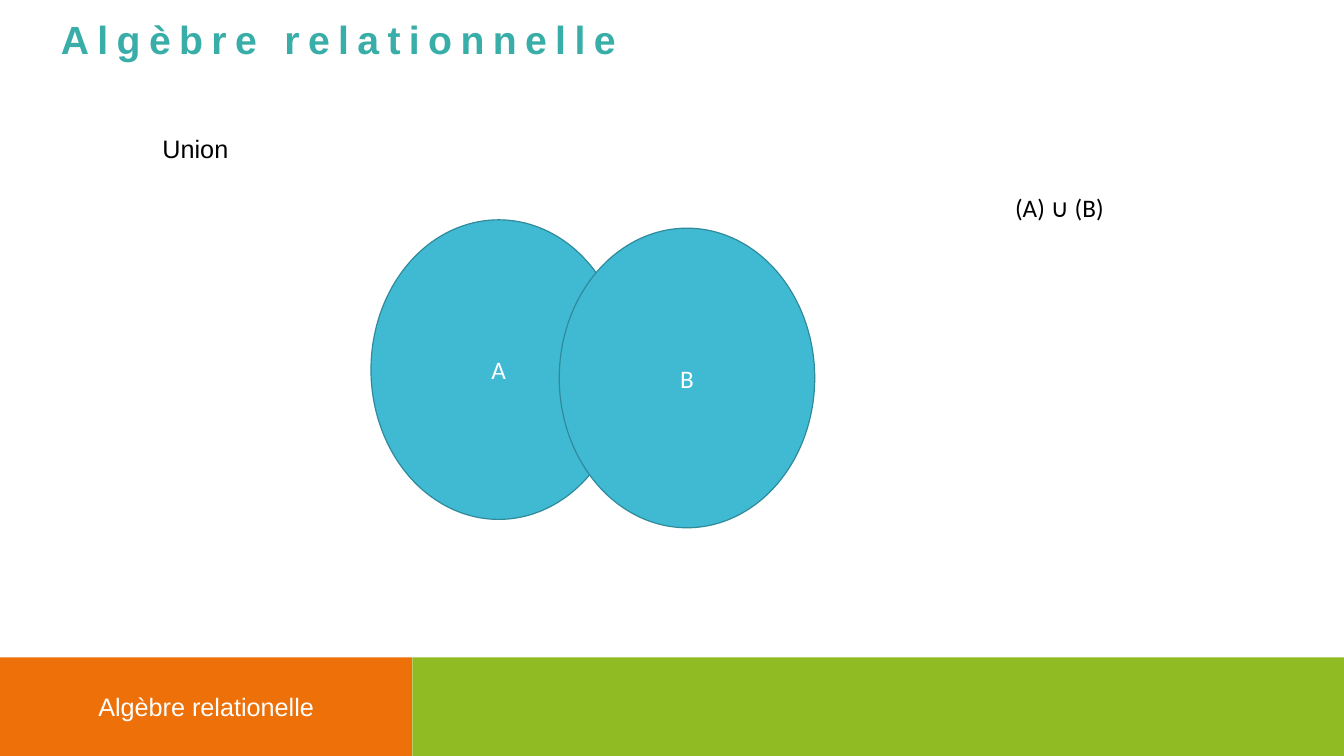
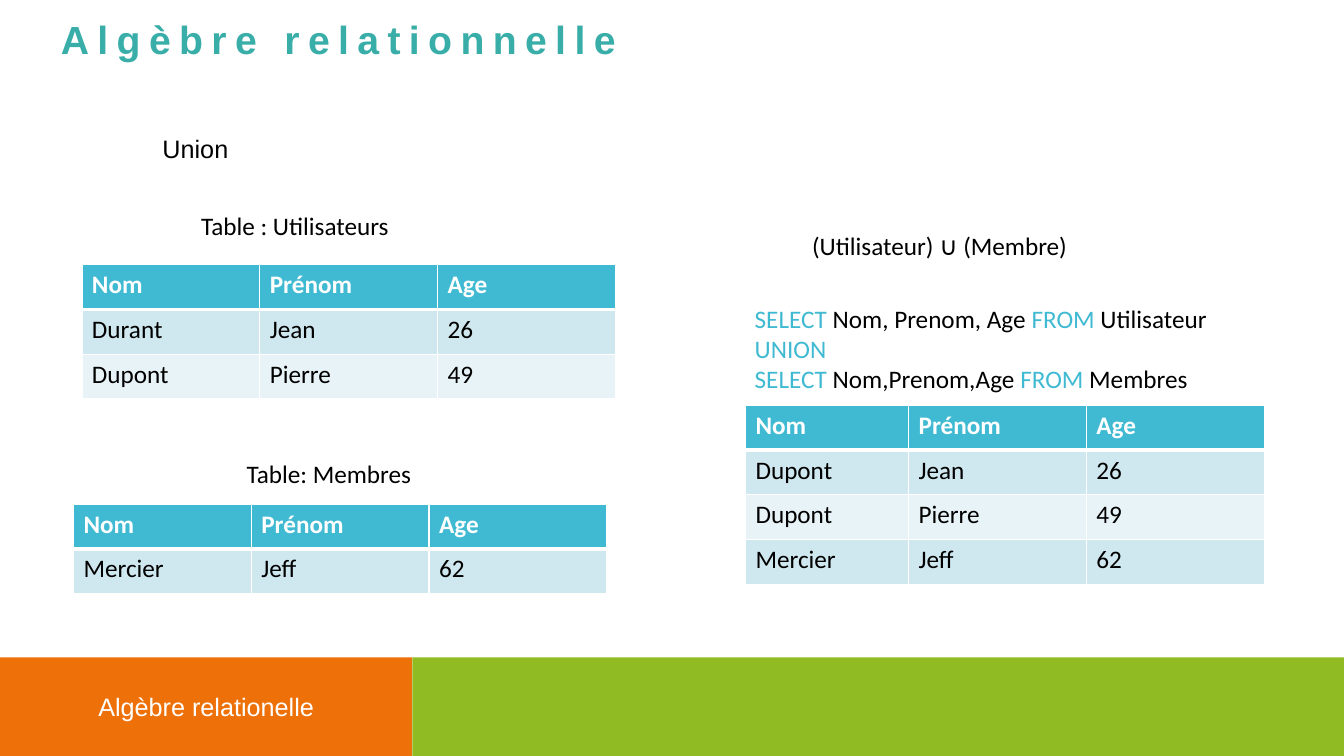
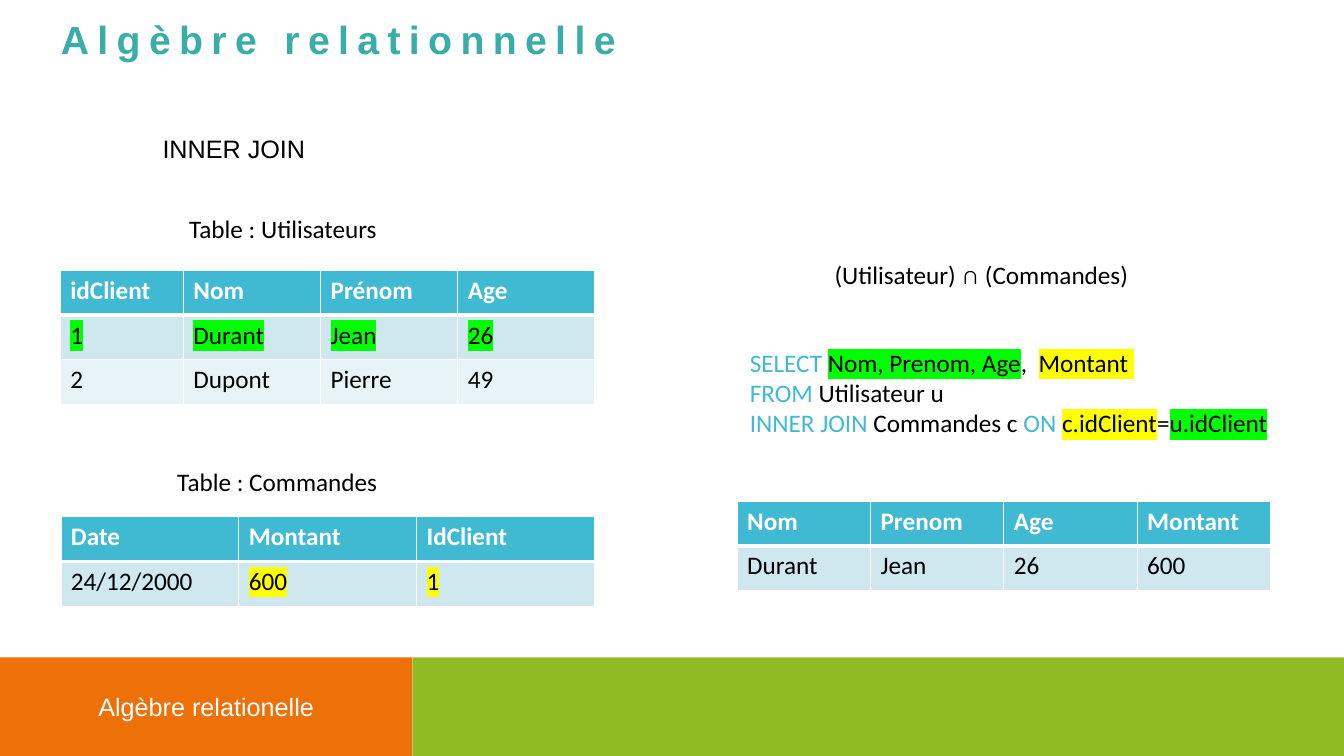
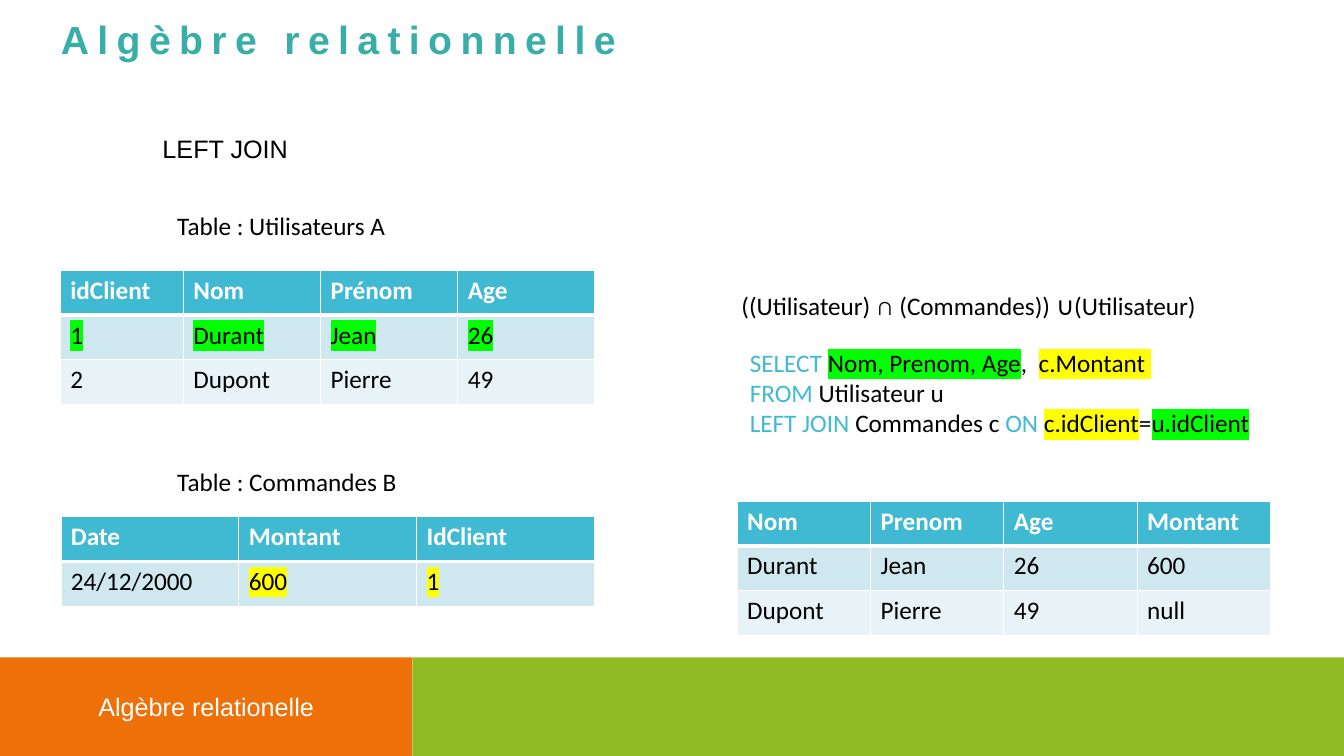
import pptx
import pptx.util
import pptx.dml.color
import pptx.enum.shapes
import pptx.enum.text
import pptx.oxml
import pptx.oxml.ns

Pt = pptx.util.Pt
SHAPE = pptx.enum.shapes.MSO_SHAPE
ALIGN = pptx.enum.text.PP_ALIGN
MIDDLE = pptx.enum.text.MSO_ANCHOR.MIDDLE
FIT = pptx.enum.text.MSO_AUTO_SIZE.SHAPE_TO_FIT_TEXT

# Shared colours, fonts and sizes
WHITE, BLACK = "FFFFFF", "000000"
TEAL, ORANGE, LEAF = "39AEA9", "EE7008", "90BB23"
BLUE, EDGE = "40BAD2", "2F8A9B"
BANDS = ["CFE7EE", "E8F3F7"]
LIME, YELLOW = "00FF00", "FFFF00"
HEAD, BODY = "Arial", "Calibri"
SIZE = 18
ROW = 32
WIDE, HIGH = 960, 540

# Table contents; a marked cell is a pair of text and highlight
NAMES = ["Nom", "Prénom", "Age"]
USERS = [
    ["idClient"] + NAMES,
    [(text, LIME) for text in ("1", "Durant", "Jean", "26")],
    ["2", "Dupont", "Pierre", "49"],
]
ORDERS = [
    ["Date", "Montant", "IdClient"],
    ["24/12/2000", ("600", YELLOW), ("1", YELLOW)],
]
JOINED = [
    ["Nom", "Prenom", "Age", "Montant"],
    ["Durant", "Jean", "26", "600"],
]


def color(code):
    return pptx.dml.color.RGBColor.from_string(code)


def paint(fill, code):
    fill.solid()
    fill.fore_color.rgb = color(code)


def style(run, code=BLACK, font=BODY, size=SIZE, bold=False, mark=None):
    """Format one run; mark is the highlight colour."""
    run.font.size = Pt(size)
    run.font.bold = bold
    run.font.name = font
    paint(run.font.fill, code)
    if mark:
        light = pptx.oxml.parse_xml(
            f'<a:highlight {pptx.oxml.ns.nsdecls("a")}>'
            f'<a:srgbClr val="{mark}"/></a:highlight>')
        props = run.font._element
        props.find(pptx.oxml.ns.qn("a:solidFill")).addnext(light)


def label(slide, x, y, w, text, h=29, wrap=True, **look):
    """One line of text in a box."""
    box = slide.shapes.add_textbox(Pt(x), Pt(y), Pt(w), Pt(h))
    frame = box.text_frame
    frame.word_wrap = wrap
    frame.auto_size = FIT
    frame.text = text
    style(frame.paragraphs[0].runs[0], **look)
    return frame


def shape(slide, kind, x, y, w, h, fill, text="", font=BODY, edge=None):
    item = slide.shapes.add_shape(kind, Pt(x), Pt(y), Pt(w), Pt(h))
    item.shadow.inherit = False
    paint(item.fill, fill)
    if edge:
        item.line.color.rgb = color(edge)
        item.line.width = Pt(0.85)
    else:
        item.line.fill.background()
    if text:
        frame = item.text_frame
        frame.text = text
        frame.vertical_anchor = MIDDLE
        frame.paragraphs[0].alignment = ALIGN.CENTER
        style(frame.paragraphs[0].runs[0], WHITE, font)


def border(cell, **widths):
    """White cell borders, given by side in points."""
    props = cell._tc.get_or_add_tcPr()
    for side, width in widths.items():
        props.append(pptx.oxml.parse_xml(
            f'<a:ln{side} {pptx.oxml.ns.nsdecls("a")} w="{Pt(width)}">'
            f'<a:solidFill><a:srgbClr val="{WHITE}"/></a:solidFill>'
            f'</a:ln{side}>'))


def table(slide, x, y, widths, rows):
    """Blue header row over banded rows."""
    frame = slide.shapes.add_table(len(rows), len(widths), Pt(x), Pt(y),
                                   Pt(sum(widths)), Pt(ROW * len(rows)))
    grid = frame.table
    grid.horz_banding = False
    for col, width in zip(grid.columns, widths):
        col.width = Pt(width)
    for i, row in enumerate(rows):
        grid.rows[i].height = Pt(ROW)
        top = i == 0
        for j, entry in enumerate(row):
            text, mark = entry if isinstance(entry, tuple) else (entry, None)
            cell = grid.cell(i, j)
            border(cell, L=1, R=1, T=3 if i == 1 else 1, B=3 if top else 1)
            paint(cell.fill, BLUE if top else BANDS[(i - 1) % 2])
            cell.text = text
            style(cell.text_frame.paragraphs[0].runs[0],
                  WHITE if top else BLACK, bold=top, mark=mark)


# Pieces of a query: text, colour, highlight
def key(text):
    return text, BLUE, None


def plain(text, mark=None):
    return text, BLACK, mark


def query(slide, x, y, w, lines):
    """SQL text with coloured keywords and highlights."""
    box = slide.shapes.add_textbox(Pt(x), Pt(y), Pt(w), Pt(73))
    frame = box.text_frame
    frame.word_wrap = True
    frame.auto_size = FIT
    for i, line in enumerate(lines):
        para = frame.add_paragraph() if i else frame.paragraphs[0]
        for text, code, mark in line:
            run = para.add_run()
            run.text = text
            style(run, code, mark=mark)


def start(deck, topic, width):
    """New slide with title, topic and footer bands."""
    slide = deck.slides.add_slide(deck.slide_layouts[6])
    label(slide, 109, 91.5, width, topic, wrap=False, font=HEAD)
    split, top = 294.5, 469.5
    shape(slide, SHAPE.RECTANGLE, 0, top, split, HIGH - top, ORANGE,
          "Algèbre relationelle", HEAD)
    shape(slide, SHAPE.RECTANGLE, split, top, WIDE - split, HIGH - top, LEAF)
    title = label(slide, 43.5, 19.5, 465, "Algèbre relationnelle", h=25,
                  code=TEAL, font=HEAD, size=28, bold=True)
    title.margin_left = title.margin_right = 0
    title.margin_top = title.margin_bottom = 0
    para = title.paragraphs[0]
    para.line_spacing = Pt(25)
    para.runs[0].font._element.set("spc", "600")
    return slide


def venn(deck):
    slide = start(deck, "Union ", 67)
    for name, x, y in (("A", 265, 157), ("B", 399.5, 163)):
        shape(slide, SHAPE.OVAL, x, y, 182.5, 214, BLUE, name, edge=EDGE)
    label(slide, 718, 134, 96, "(A) ∪ (B)")


def union(deck):
    slide = start(deck, "Union ", 67)
    thirds = [127] * 3
    pierre, jeff = ["Dupont", "Pierre", "49"], ["Mercier", "Jeff", "62"]
    label(slide, 136.5, 146.5, 212.5, "Table : Utilisateurs")
    table(slide, 58.5, 189, thirds,
          [NAMES, ["Durant", "Jean", "26"], pierre])
    label(slide, 169, 324, 159, "Table: Membres")
    table(slide, 52.5, 360, thirds, [NAMES, jeff])
    # Result
    label(slide, 573, 161, 264, "(Utilisateur) ∪ (Membre)", h=51)
    query(slide, 532, 213, 371, [
        [key("SELECT"), plain(" Nom, Prenom, Age "), key("FROM"),
         plain(" Utilisateur")],
        [key("UNION")],
        [key("SELECT "), plain("Nom,Prenom,Age "), key("FROM"),
         plain(" Membres")],
    ])
    table(slide, 532.5, 289.5, [116.5, 127, 127],
          [NAMES, ["Dupont", "Jean", "26"], pierre, jeff])


def join(deck, verb, width, users, orders, formula, amount, result):
    """Two source tables, the query and its result."""
    slide = start(deck, verb, width)
    text, x, y = users
    label(slide, x, y, 212.5, text)
    table(slide, 43, 193, [88, 98, 98, 98], USERS)
    label(slide, 119.5, 329.5, 212.5, orders)
    table(slide, 43.5, 369, [127] * 3, ORDERS)
    # Result
    text, x, y, w = formula
    label(slide, x, y, w, text)
    query(slide, 528.5, 244.5, 419, [
        [key("SELECT "), plain("Nom, Prenom, Age", LIME), plain(",  "),
         plain(amount, YELLOW)],
        [key("FROM"), plain(" Utilisateur u ")],
        [key(verb), plain(" Commandes c "), key("ON "),
         plain("c.idClient", YELLOW), plain("="), plain("u.idClient", LIME)],
    ])
    table(slide, 526.5, 358, [95.25] * 4, result)


def main():
    deck = pptx.Presentation()
    deck.slide_width, deck.slide_height = Pt(WIDE), Pt(HIGH)
    venn(deck)
    union(deck)
    join(deck, "INNER JOIN", 117.5, ("Table : Utilisateurs", 128, 149),
         "Table : Commandes",
         ("(Utilisateur) ∩ (Commandes)", 589, 182, 284),
         "Montant ", JOINED)
    join(deck, "LEFT JOIN", 105, ("Table : Utilisateurs A", 119.5, 147),
         "Table : Commandes B",
         ("((Utilisateur) ∩ (Commandes)) ∪(Utilisateur)", 522.5, 204, 353),
         "c.Montant ", JOINED + [["Dupont", "Pierre", "49", "null"]])
    deck.save("out.pptx")


main()
